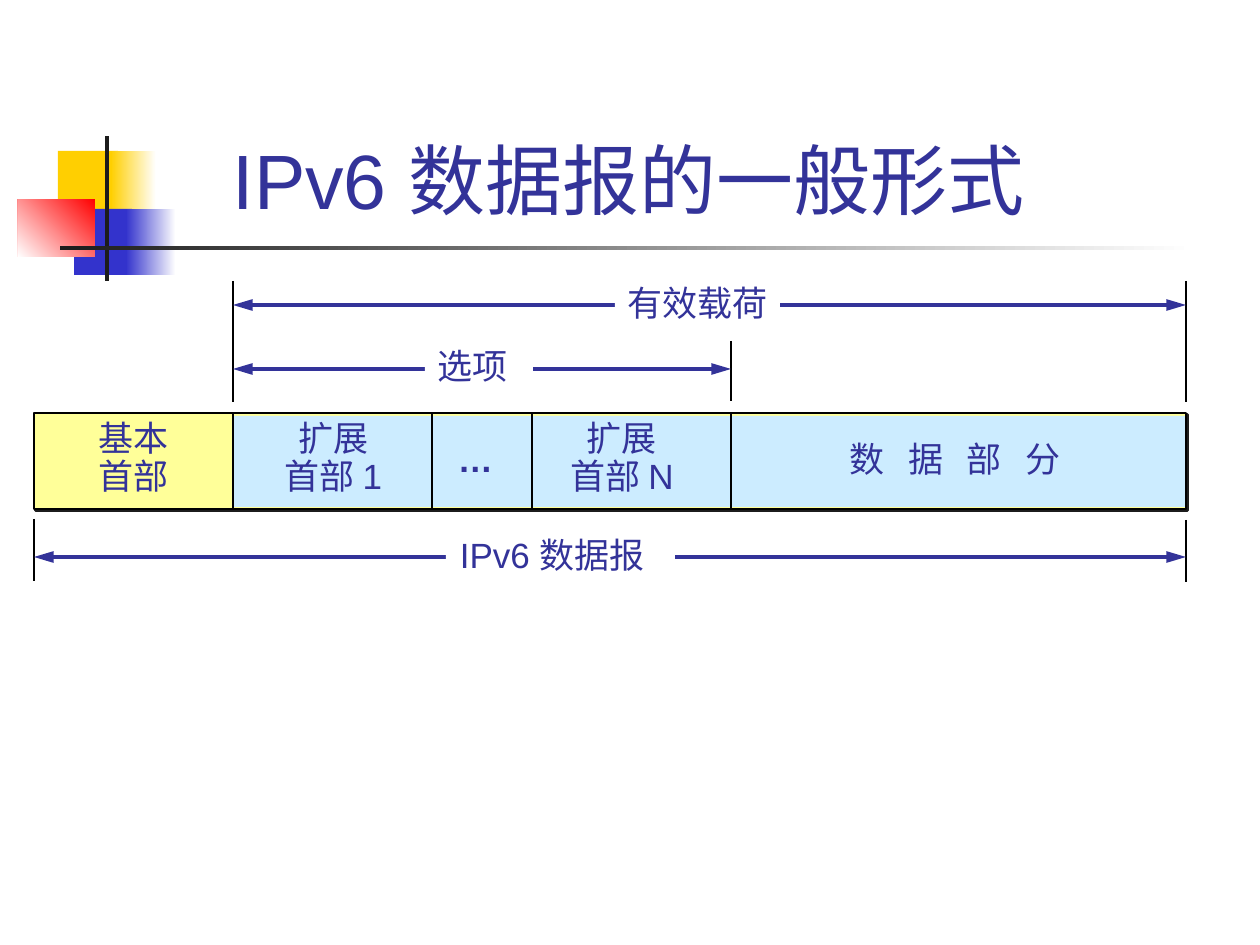
from lxml import etree
from pptx import Presentation
from pptx.dml.color import RGBColor
from pptx.enum.shapes import MSO_CONNECTOR, MSO_SHAPE
from pptx.enum.text import MSO_ANCHOR, PP_ALIGN
from pptx.oxml.ns import qn
from pptx.util import Emu, Pt

PX = 914400 // 126
RECTANGLE = MSO_SHAPE.RECTANGLE
STRAIGHT = MSO_CONNECTOR.STRAIGHT
CENTER = PP_ALIGN.CENTER
TOP, BOTTOM = MSO_ANCHOR.TOP, MSO_ANCHOR.BOTTOM

WHITE = RGBColor(0xFF, 0xFF, 0xFF)
BLACK = RGBColor(0x00, 0x00, 0x00)
INK = RGBColor(0x33, 0x33, 0x99)
GOLD = RGBColor(0xFF, 0xCF, 0x01)
BLUE = RGBColor(0x33, 0x33, 0xCC)
RED = RGBColor(0xFF, 0x00, 0x00)
CHARCOAL = RGBColor(0x1C, 0x1C, 0x1C)
PALE_YELLOW = RGBColor(0xFF, 0xFF, 0x99)
PALE_BLUE = RGBColor(0xCC, 0xEC, 0xFF)

TITLE = "IPv6 数据报的一般形式"
# left, top, width, height, fill: one colour, or (start, end, angle)
ORNAMENTS = [
    (58, 151, 60, 66, GOLD),
    (111, 151, 45, 66, (WHITE, GOLD, 180)),
    (74, 209, 58, 66, BLUE),
    (126, 209, 50, 66, (WHITE, BLUE, 180)),
    (18, 199, 77, 58, (RED, WHITE, 225)),
    (105, 136, 4, 145, CHARCOAL),
    (60, 246, 1134, 4, (WHITE, CHARCOAL, 180)),
]

LEFT, OPTIONS_LEFT, OPTIONS_RIGHT, RIGHT = 34, 233, 731, 1186
BAR_TOP, BAR_BOTTOM = 413, 509
DIVIDERS = [OPTIONS_LEFT, 432, 532, OPTIONS_RIGHT]
# lines of text, centre x, top, width, format
FIELDS = [
    (["基本", "首部"], 134, 415, 94, {"line_spacing": 0.9}),
    (["扩展", "首部 1"], 333, 415, 131, {"line_spacing": 0.9}),
    (["扩展", "首部 N"], 622, 415, 136, {"line_spacing": 0.9}),
    (["…"], 475, 431, 69, {"bold": True}),
    (["数 据 部 分"], 955, 431, 236, {"tracking": 4.5}),
]
# x, top, bottom
EXTENSION_LINES = [
    (OPTIONS_LEFT, 281, 402),
    (OPTIONS_RIGHT, 341, 401),
    (RIGHT, 281, 402),
    (LEFT, 519, 581),
    (RIGHT, 520, 582),
]
# text, start x, end x, y, gap (left, top, width, height), text centre x, text top
DIMENSIONS = [
    ("选项", OPTIONS_LEFT, OPTIONS_RIGHT, 369, (425, 341, 108, 50), 473, 338),
    ("IPv6 数据报", LEFT, RIGHT, 557, (446, 528, 229, 53), 552, 527),
    ("有效载荷", OPTIONS_LEFT, RIGHT, 305, (615, 275, 165, 55), 697, 275),
]


def px(*lengths):
    return [Emu(length * PX) for length in lengths]


def add_block(page, left, top, width, height, fill):
    block = page.shapes.add_shape(RECTANGLE, *px(left, top, width, height))
    block.shadow.inherit = False
    block.line.fill.background()
    if isinstance(fill, RGBColor):
        block.fill.solid()
        block.fill.fore_color.rgb = fill
    else:
        start, end, angle = fill
        block.fill.gradient()
        block.fill.gradient_angle = angle
        for stop, color in zip(block.fill.gradient_stops, (start, end)):
            stop.color.rgb = color
    return block


def add_hard_shadow(block, color, distance):
    effects = block._element.spPr.find(qn("a:effectLst"))
    shadow = etree.SubElement(effects, qn("a:outerShdw"), dist=str(Pt(distance)),
                              dir="2700000", algn="ctr", rotWithShape="0")
    etree.SubElement(shadow, qn("a:srgbClr"), val=str(color))


def add_line(page, start, end, color=BLACK, weight=0.75, arrows=False):
    line = page.shapes.add_connector(STRAIGHT, *px(*start, *end))
    line.line.color.rgb = color
    line.line.width = Pt(weight)
    if arrows:
        outline = line.line._get_or_add_ln()
        for end_tag in ("a:headEnd", "a:tailEnd"):
            etree.SubElement(outline, qn(end_tag), type="triangle", w="med", len="lg")
    etree.SubElement(line._element.spPr, qn("a:effectLst"))


def add_text(page, lines, center, top, width, height=None, size=20, bold=False,
             anchor=TOP, line_spacing=None, tracking=0):
    """Place centred lines around a centre x; tracking is in points."""
    height = height or 11 + 44 * len(lines)
    box = page.shapes.add_textbox(*px(center - width // 2, top, width, height))
    frame = box.text_frame
    frame.word_wrap = False
    frame.margin_left = frame.margin_right = 0
    frame.vertical_anchor = anchor
    frame.text = "\n".join(lines)
    for para in frame.paragraphs:
        para.alignment = CENTER
        if line_spacing:
            para.line_spacing = line_spacing
        for span in para.runs:
            span.font.name = "Arial"
            span.font.size = Pt(size)
            span.font.bold = bold
            span.font.color.rgb = INK
            if tracking:
                span._r.get_or_add_rPr().set("spc", str(int(tracking * 100)))


def main():
    deck = Presentation()
    deck.slide_width, deck.slide_height = px(1260, 945)
    page = deck.slides.add_slide(deck.slide_layouts[6])

    for ornament in ORNAMENTS:
        add_block(page, *ornament)
    add_text(page, [TITLE], 629, 29, 958, 202, size=44, anchor=BOTTOM)

    datagram = add_block(page, LEFT, BAR_TOP, RIGHT - LEFT, BAR_BOTTOM - BAR_TOP,
                         PALE_YELLOW)
    datagram.line.color.rgb = BLACK
    datagram.line.width = Pt(1.5)
    add_hard_shadow(datagram, CHARCOAL, 1.4)
    add_block(page, OPTIONS_LEFT + 1, BAR_TOP + 3, RIGHT - OPTIONS_LEFT - 2, 91,
              PALE_BLUE)
    for x in DIVIDERS:
        add_line(page, (x, BAR_TOP), (x, BAR_BOTTOM))
    for lines, center, top, width, style in FIELDS:
        add_text(page, lines, center, top, width, **style)

    for x, top, bottom in EXTENSION_LINES:
        add_line(page, (x, top), (x, bottom))
    for text, start, end, y, gap, center, top in DIMENSIONS:
        add_line(page, (start, y), (end, y), color=INK, weight=2.25, arrows=True)
        add_block(page, *gap, WHITE)
        add_text(page, [text], center, top, gap[2])

    deck.save("out.pptx")


if __name__ == "__main__":
    main()
